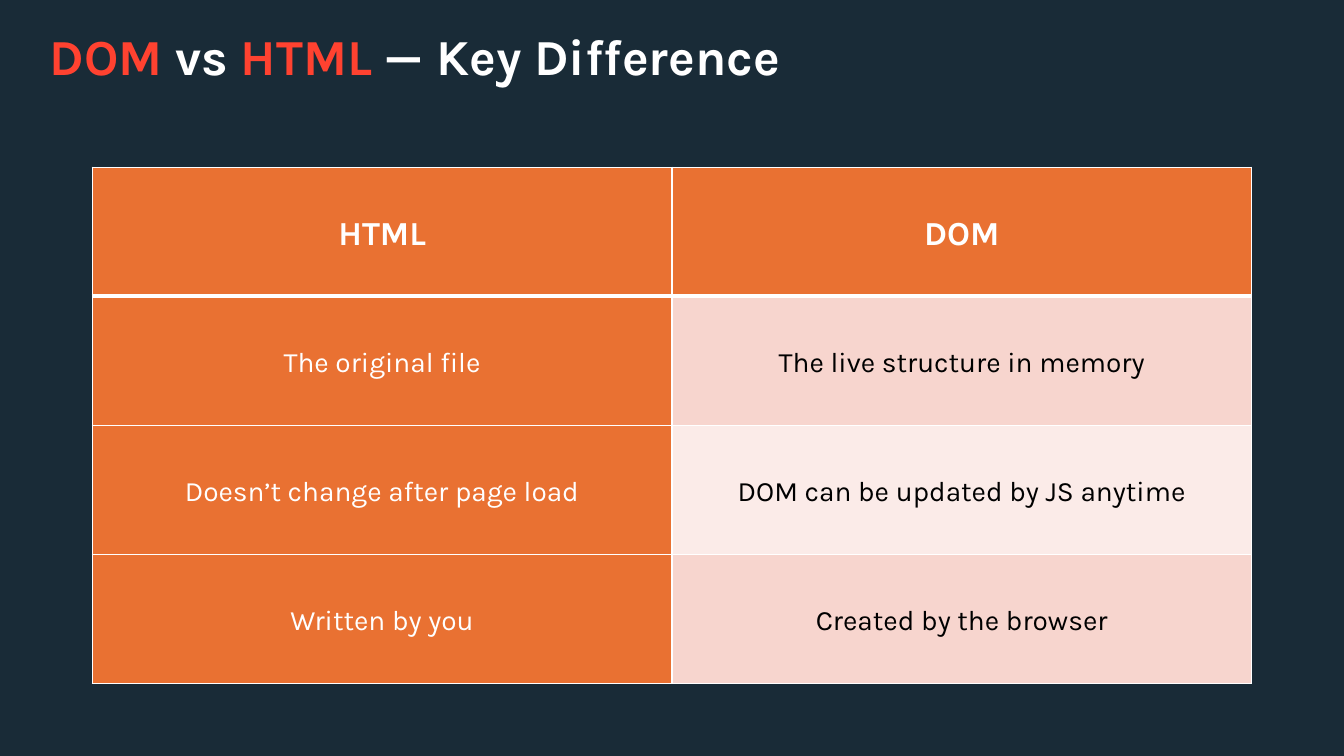
"""Build the slide that compares HTML with the DOM."""
from typing import NamedTuple

from lxml import etree
from pptx import Presentation
from pptx.dml.color import RGBColor
from pptx.enum.text import MSO_ANCHOR, MSO_AUTO_SIZE, PP_ALIGN
from pptx.oxml.ns import qn
from pptx.util import Inches, Pt

MIDDLE, TOP = MSO_ANCHOR.MIDDLE, MSO_ANCHOR.TOP
CENTER, LEFT = PP_ALIGN.CENTER, PP_ALIGN.LEFT
NO_FIT = MSO_AUTO_SIZE.NONE

NAVY = RGBColor(0x19, 0x2B, 0x37)
RED = RGBColor(0xFF, 0x42, 0x30)
ORANGE = RGBColor(0xE9, 0x71, 0x32)
ROSE = RGBColor(0xF7, 0xD5, 0xCE)
BLUSH = RGBColor(0xFB, 0xEB, 0xE8)
WHITE = RGBColor(0xFF, 0xFF, 0xFF)
BLACK = RGBColor(0x00, 0x00, 0x00)

FONT = "Karla"
WIDE, HIGH = Inches(13.33), Inches(7.5)
COL, ROW = Inches(5.75), Inches(1.28)
INSET = Inches(0.01)
THIN, THICK = Pt(1), Pt(3)


class Part(NamedTuple):
    """A piece of the title in one colour."""
    text: str
    color: RGBColor


class Pair(NamedTuple):
    """A table row: a fact on HTML and its match on the DOM."""
    html: str
    dom: str


TITLE = [Part("DOM", RED), Part(" vs ", WHITE), Part("HTML ", RED),
         Part("— Key Difference", WHITE)]
PAIRS = [
    Pair("HTML", "DOM"),
    Pair("The original file", "The live structure in memory"),
    Pair("Doesn’t change after page load", "DOM can be updated by JS anytime"),
    Pair("Written by you", "Created by the browser"),
]


def add_title(slide) -> None:
    """Place the title and write its coloured parts."""
    title = slide.shapes.title
    title.left, title.top = Inches(0.39), Inches(0.2)
    title.width, title.height = Inches(10.7), Inches(0.71)
    frame = title.text_frame
    frame.auto_size, frame.vertical_anchor = NO_FIT, TOP
    para = frame.paragraphs[0]
    para.alignment = LEFT
    para.font.name, para.font.size, para.font.bold = FONT, Pt(36), True
    for part in TITLE:
        run = para.add_run()
        run.text = part.text
        run.font.color.rgb = part.color


def add_edge(cell, side: str, width: int) -> None:
    """Draw one white edge of a cell."""
    props = cell._tc.get_or_add_tcPr()
    line = etree.SubElement(props, qn(f"a:ln{side}"), w=str(width))
    fill = etree.SubElement(line, qn("a:solidFill"))
    etree.SubElement(fill, qn("a:srgbClr"), val=str(WHITE))


def fill_cell(cell, text: str, row: int, col: int) -> None:
    """Write and format a cell by its place in the table."""
    head = row == 0
    add_edge(cell, "L", THIN)
    add_edge(cell, "R", THIN)
    add_edge(cell, "T", THICK if row == 1 else THIN)
    add_edge(cell, "B", THICK if head else THIN)
    solid = head or col == 0
    cell.fill.solid()
    cell.fill.fore_color.rgb = ORANGE if solid else (BLUSH, ROSE)[row % 2]
    cell.vertical_anchor = MIDDLE
    cell.margin_left = cell.margin_right = INSET
    cell.margin_top = cell.margin_bottom = INSET
    cell.text = text
    para = cell.text_frame.paragraphs[0]
    para.alignment, para.line_spacing = CENTER, 1.15
    para.space_after = Pt(8)
    font = para.font
    font.name, font.size, font.bold = FONT, Pt(24 if head else 20), head
    font.color.rgb = WHITE if solid else BLACK


def add_grid(slide) -> None:
    """Add the table, centred across the slide."""
    rows, cols = len(PAIRS), len(Pair._fields)
    left = (WIDE - cols * COL) // 2
    frame = slide.shapes.add_table(rows, cols, left, Inches(1.66),
                                   cols * COL, rows * ROW)
    table = frame.table
    for row, pair in enumerate(PAIRS):
        table.rows[row].height = ROW
        for col, text in enumerate(pair):
            fill_cell(table.cell(row, col), text, row, col)


def main() -> None:
    """Build and save the deck."""
    deck = Presentation()
    deck.slide_width, deck.slide_height = WIDE, HIGH
    slide = deck.slides.add_slide(deck.slide_layouts[5])
    slide.background.fill.solid()
    slide.background.fill.fore_color.rgb = NAVY
    add_title(slide)
    add_grid(slide)
    deck.save("out.pptx")


if __name__ == "__main__":
    main()
